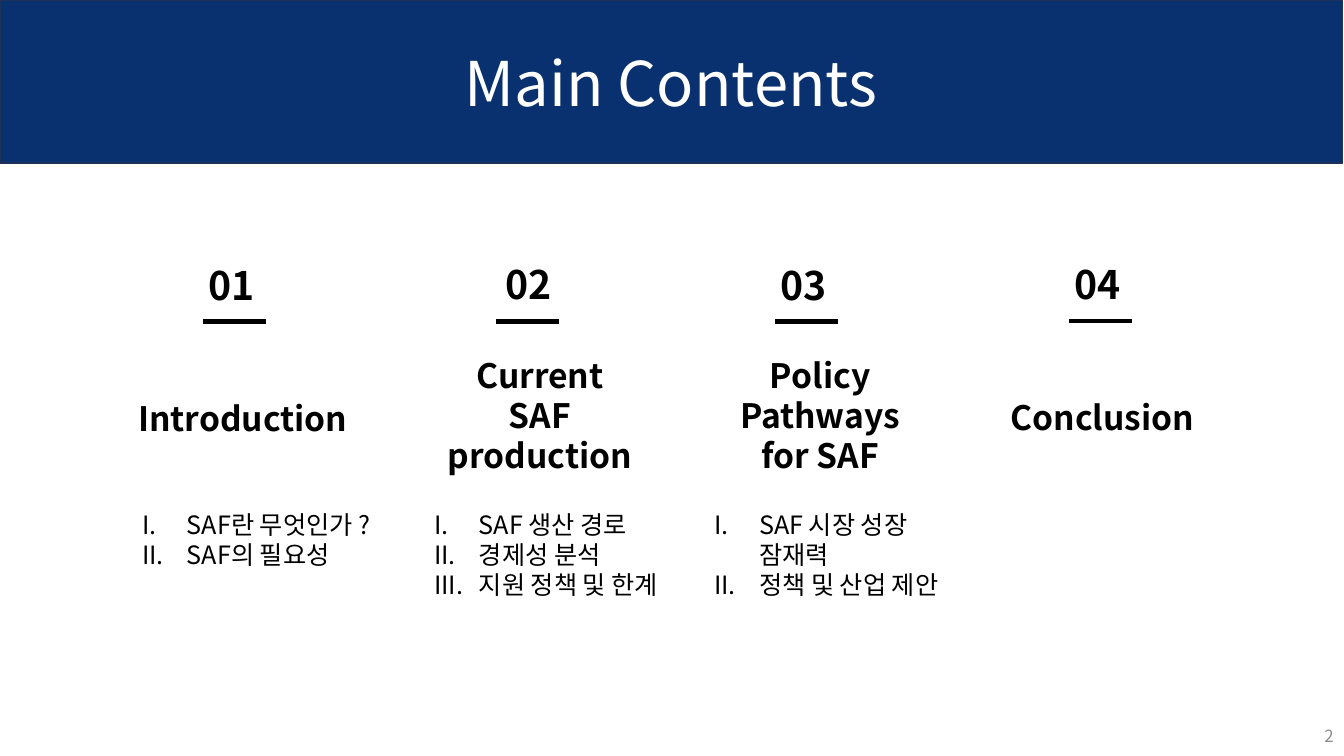
from dataclasses import dataclass

import lxml.etree
import pptx
import pptx.dml.color
import pptx.enum.shapes
import pptx.enum.text
import pptx.oxml.ns
import pptx.slide
import pptx.text.text
import pptx.util
from pptx.util import Cm, Pt

NAVY = pptx.dml.color.RGBColor(0x09, 0x31, 0x6F)
DARK_NAVY = pptx.dml.color.RGBColor(0x1E, 0x32, 0x56)
WHITE = pptx.dml.color.RGBColor(0xFF, 0xFF, 0xFF)
BLACK = pptx.dml.color.RGBColor(0, 0, 0)
GREY = pptx.dml.color.RGBColor(0x8C, 0x8C, 0x8C)

FONT = "Noto Sans CJK KR"
HEADING = {"name": FONT, "size": Pt(44)}
NUMBER = {"name": FONT, "size": Pt(28), "bold": True}
TITLE = {"name": FONT, "size": Pt(24), "bold": True}
TOPIC = {"name": FONT, "size": Pt(18)}
PAGE = {"name": FONT, "size": Pt(12)}

ALIGN = pptx.enum.text.PP_ALIGN
ANCHOR = pptx.enum.text.MSO_ANCHOR
TOPIC_INDENT = Cm(1.13)
RULE_LENGTH = 1.59
TOPICS_TOP = 12.7


@dataclass(frozen=True)
class Box:
    left: float
    top: float
    width: float
    height: float

    def lengths(self) -> tuple[pptx.util.Length, ...]:
        return tuple(Cm(n) for n in (self.left, self.top, self.width, self.height))


@dataclass(frozen=True)
class Chapter:
    number: str
    number_left: float
    number_top: float
    rule_left: float
    rule_top: float
    title: tuple[str, ...]
    title_box: Box
    title_align: ALIGN
    topics: tuple[str, ...] = ()
    topics_left: float = 0
    topics_height: float = 0


CHAPTERS = (
    Chapter("01", 5, 6.45, 5.11, 8.1, ("Introduction",),
            Box(3.23, 9.91, 5.84, 1.27), ALIGN.LEFT,
            ("SAF란 무엇인가 ?", "SAF의 필요성"), 3.33, 1.8),
    Chapter("02", 12.5, 6.43, 12.5, 8.1, ("Current", "SAF production"),
            Box(10.69, 8.81, 5.84, 3.33), ALIGN.CENTER,
            ("SAF 생산 경로", "경제성 분석", "지원 정책 및 한계"), 10.69, 2.57),
    Chapter("03", 19.43, 6.45, 19.53, 8.1, ("Policy Pathways for SAF",),
            Box(17.75, 8.81, 5.84, 3.33), ALIGN.CENTER,
            ("SAF 시장 성장 잠재력", "정책 및 산업 제안"), 17.75, 2.57),
    Chapter("04", 26.82, 6.43, 26.95, 8.08, ("Conclusion",),
            Box(25.22, 9.88, 5.38, 1.27), ALIGN.LEFT),
)


def number_paragraph(paragraph: pptx.text.text._Paragraph) -> None:
    properties = paragraph._p.get_or_add_pPr()
    properties.set("marL", str(TOPIC_INDENT))
    properties.set("indent", str(-TOPIC_INDENT))
    numeral = lxml.etree.SubElement(properties, pptx.oxml.ns.qn("a:buAutoNum"))
    numeral.set("type", "romanUcPeriod")


def write(frame: pptx.text.text.TextFrame, lines: tuple[str, ...], text_format: dict,
          color: pptx.dml.color.RGBColor, align: ALIGN, numbered: bool = False) -> None:
    frame.word_wrap = True
    for index, line in enumerate(lines):
        paragraph = frame.add_paragraph() if index else frame.paragraphs[0]
        paragraph.alignment = align
        if numbered:
            number_paragraph(paragraph)
        run = paragraph.add_run()
        run.text = line
        for attribute, value in text_format.items():
            setattr(run.font, attribute, value)
        run.font.color.rgb = color
        east_asian = lxml.etree.SubElement(run._r.get_or_add_rPr(), pptx.oxml.ns.qn("a:ea"))
        east_asian.set("typeface", FONT)


def add_text(slide: pptx.slide.Slide, box: Box, lines: tuple[str, ...], text_format: dict,
             align: ALIGN = ALIGN.LEFT, numbered: bool = False) -> None:
    frame = slide.shapes.add_textbox(*box.lengths()).text_frame
    frame.auto_size = pptx.enum.text.MSO_AUTO_SIZE.SHAPE_TO_FIT_TEXT
    write(frame, lines, text_format, BLACK, align, numbered)


def add_banner(slide: pptx.slide.Slide) -> None:
    banner = slide.shapes.add_shape(
        pptx.enum.shapes.MSO_SHAPE.RECTANGLE, *Box(0, 0, 33.83, 4.11).lengths())
    banner.shadow.inherit = False
    banner.fill.solid()
    banner.fill.fore_color.rgb = NAVY
    banner.line.color.rgb = DARK_NAVY
    banner.line.width = Pt(1)
    banner.text_frame.vertical_anchor = ANCHOR.MIDDLE
    write(banner.text_frame, ("Main Contents",), HEADING, WHITE, ALIGN.CENTER)


def add_page_number(slide: pptx.slide.Slide) -> None:
    frame = slide.shapes.add_textbox(*Box(26.24, 18.03, 7.62, 1.02).lengths()).text_frame
    frame.vertical_anchor = ANCHOR.MIDDLE
    write(frame, ("2",), PAGE, GREY, ALIGN.RIGHT)


def add_rule(slide: pptx.slide.Slide, left: float, top: float) -> None:
    rule = slide.shapes.add_connector(
        pptx.enum.shapes.MSO_CONNECTOR.STRAIGHT,
        Cm(left), Cm(top), Cm(left + RULE_LENGTH), Cm(top))
    rule.line.color.rgb = BLACK
    rule.line.width = Pt(3)
    lxml.etree.SubElement(rule._element.spPr, pptx.oxml.ns.qn("a:effectLst"))


def add_chapter(slide: pptx.slide.Slide, chapter: Chapter) -> None:
    number_box = Box(chapter.number_left, chapter.number_top, 1.83, 1.45)
    add_text(slide, number_box, (chapter.number,), NUMBER)
    add_rule(slide, chapter.rule_left, chapter.rule_top)
    add_text(slide, chapter.title_box, chapter.title, TITLE, chapter.title_align)
    if chapter.topics:
        topics_box = Box(chapter.topics_left, TOPICS_TOP, 6.17, chapter.topics_height)
        add_text(slide, topics_box, chapter.topics, TOPIC, numbered=True)


def main() -> None:
    presentation = pptx.Presentation()
    presentation.slide_width = Cm(33.87)
    presentation.slide_height = Cm(19.05)
    slide = presentation.slides.add_slide(presentation.slide_layouts[6])
    add_banner(slide)
    add_page_number(slide)
    for chapter in CHAPTERS:
        add_chapter(slide, chapter)
    presentation.save("out.pptx")


if __name__ == "__main__":
    main()
